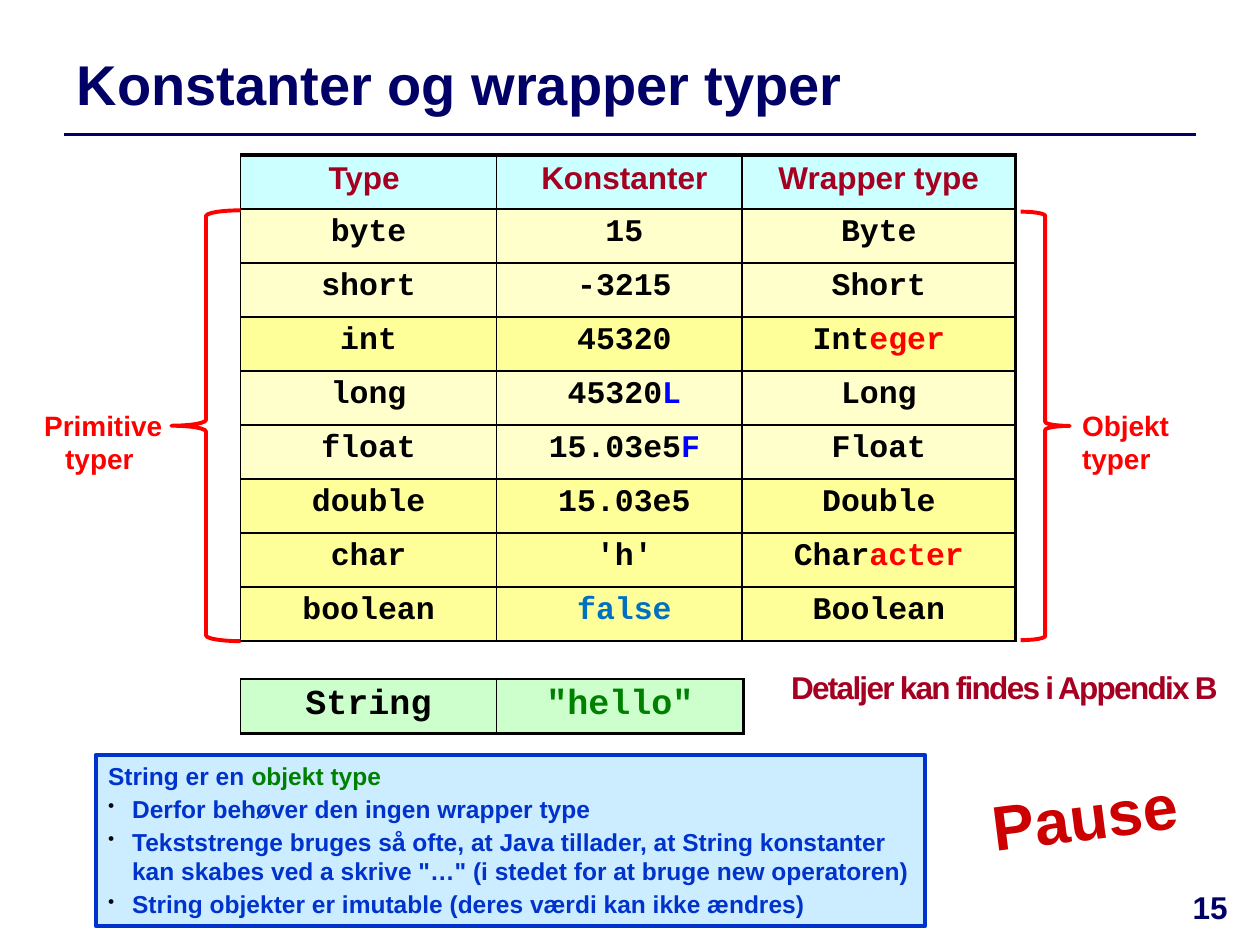
from pptx import Presentation
from pptx.dml.color import RGBColor
from pptx.enum.shapes import MSO_CONNECTOR, MSO_SHAPE
from pptx.enum.text import MSO_ANCHOR, PP_ALIGN
from pptx.oxml.ns import qn
from pptx.util import Pt
from lxml import etree

LEFT, CENTER = PP_ALIGN.LEFT, PP_ALIGN.CENTER
TOP, MIDDLE = MSO_ANCHOR.TOP, MSO_ANCHOR.MIDDLE
RECTANGLE, BRACE = MSO_SHAPE.RECTANGLE, MSO_SHAPE.LEFT_BRACE
STRAIGHT = MSO_CONNECTOR.STRAIGHT

NAVY, WINE, RED, BLACK = "000066", "A50021", "FF0000", "000000"
BLUE, GREEN = "0033CC", "008000"
AQUA, PALE, YELLOW, MINT = "CCFFFF", "FFFFCC", "FFFF99", "CCFFCC"
SANS, MONO = "Arial", "Courier New"
THIN, THICK = 1, 2.25
ROW_HEIGHT = 30.87
TABLE_LEFT, TABLE_TOP, COLUMN = 137.5, 88.5, 146.2

HEADINGS = ["Type ", "Konstanter", "Wrapper type"]
TYPES = [
    (PALE, "byte", "15", "Byte"),
    (PALE, "short", "-3215", "Short"),
    (YELLOW, "int", "45320", ["Int", ("eger", RED)]),
    (PALE, "long", ["45320", ("L", "0000FF")], "Long"),
    (PALE, "float", ["15.03e5", ("F", "0000FF")], "Float"),
    (YELLOW, "double", "15.03e5", "Double"),
    (YELLOW, "char", "'h'", ["Char", ("acter", RED)]),
    (YELLOW, "boolean", [("false", "0070C0")], "Boolean"),
]
STRING_NOTES = [
    ["String er en ", ("objekt type", GREEN)],
    "Derfor behøver den ingen wrapper type",
    "Tekststrenge bruges så ofte, at Java tillader, at String konstanter kan skabes "
    "ved a skrive \"…\" (i stedet for at bruge new operatoren)",
    "String objekter er imutable (deres værdi kan ikke ændres)",
]


def colour(hex_text):
    return RGBColor.from_string(hex_text)


def add_bullet(para):
    properties = para._p.get_or_add_pPr()
    properties.set("marL", str(Pt(13.7)))
    properties.set("indent", str(-Pt(13.7)))
    tint = etree.SubElement(properties, qn("a:buClr"))
    etree.SubElement(tint, qn("a:srgbClr"), val=BLACK)
    etree.SubElement(properties, qn("a:buSzPct"), val="75000")
    etree.SubElement(properties, qn("a:buChar"), char="•")


def write(frame, paragraphs, size=18, font=SANS, ink=BLACK, align=LEFT, anchor=TOP,
          tracking=0, bullets=False):
    """Fill a frame; a paragraph is a text or a list of texts and (text, colour) pairs."""
    frame.word_wrap = True
    frame.vertical_anchor = anchor
    for number, content in enumerate(paragraphs):
        para = frame.add_paragraph() if number else frame.paragraphs[0]
        if bullets and number:
            add_bullet(para)
            para.space_before = Pt(2)
        para.alignment = align
        for part in [content] if isinstance(content, str) else content:
            text, tint = (part, ink) if isinstance(part, str) else part
            span = para.add_run()
            span.text = text
            span.font.size, span.font.name, span.font.bold = Pt(size), font, True
            span.font.color.rgb = colour(tint)
            if tracking:
                span._r.get_or_add_rPr().set("spc", str(tracking * 100))


def add_borders(cell, **widths):
    properties = cell._tc.get_or_add_tcPr()
    for side in "LRTB":
        edge = etree.SubElement(properties, qn("a:ln" + side), w=str(Pt(widths.get(side, THIN))))
        fill = etree.SubElement(edge, qn("a:solidFill"))
        etree.SubElement(fill, qn("a:srgbClr"), val=BLACK)


class Page:
    def __init__(self, deck):
        self.shapes = deck.slides.add_slide(deck.slide_layouts[6]).shapes

    def rule(self, left, right, y):
        line = self.shapes.add_connector(STRAIGHT, Pt(left), Pt(y), Pt(right), Pt(y))
        line.line.color.rgb = colour(NAVY)
        line.line.width = Pt(2)
        etree.SubElement(line._element.spPr, qn("a:effectLst"))

    def text(self, left, top, width, height, content, turn=0, **style):
        box = self.shapes.add_textbox(Pt(left), Pt(top), Pt(width), Pt(height))
        box.rotation = turn
        write(box.text_frame, [content], **style)

    def shape(self, kind, left, top, width, height, fill=None, line=None):
        shape = self.shapes.add_shape(kind, Pt(left), Pt(top), Pt(width), Pt(height))
        shape.shadow.inherit = False
        if fill:
            shape.fill.solid()
            shape.fill.fore_color.rgb = colour(fill)
        else:
            shape.fill.background()
        if line:
            shape.line.color.rgb = colour(line)
            shape.line.width = Pt(THICK)
        else:
            shape.line.fill.background()
        return shape

    def panel(self, left, top, width, height, paragraphs, fill, line=None, **style):
        shape = self.shape(RECTANGLE, left, top, width, height, fill, line)
        write(shape.text_frame, paragraphs, **style)

    def brace(self, left, top, width, height, mirrored=False):
        shape = self.shape(BRACE, left, top, width, height, line=RED)
        if mirrored:
            shape._element.spPr.xfrm.set("flipH", "1")

    def table(self, left, top, columns, rows, heavy, heading=False, size=18, accent=BLACK):
        """Draw rows of (fill, cell, ...); heavy names the outer edge that is thick."""
        table = self.shapes.add_table(len(rows), len(columns), Pt(left), Pt(top),
                                      Pt(sum(columns)), Pt(ROW_HEIGHT * len(rows))).table
        table.first_row = table.horz_banding = False
        for column, width in zip(table.columns, columns):
            column.width = Pt(width)
        for y, (fill, *contents) in enumerate(rows):
            table.rows[y].height = Pt(ROW_HEIGHT)
            is_heading = heading and y == 0
            for x, content in enumerate(contents):
                cell = table.cell(y, x)
                widths = {"R": THICK} if x == len(columns) - 1 else {}
                if y == (0 if heavy == "T" else len(rows) - 1):
                    widths[heavy] = THICK
                add_borders(cell, **widths)
                cell.fill.solid()
                cell.fill.fore_color.rgb = colour(fill)
                write(cell.text_frame, [content], size=size, align=CENTER,
                      font=SANS if is_heading else MONO, ink=WINE if is_heading else BLACK)


def main():
    deck = Presentation()
    deck.slide_width, deck.slide_height = Pt(720), Pt(540)
    page = Page(deck)

    page.rule(36.7, 683.3, 77)
    page.text(36.7, 20.2, 646.6, 54, "Konstanter og wrapper typer", size=32, ink=NAVY,
              anchor=MIDDLE)
    rows = [(AQUA, *HEADINGS), *TYPES]
    page.table(TABLE_LEFT, TABLE_TOP, [COLUMN, COLUMN], [row[:3] for row in rows],
               heavy="T", heading=True)
    page.text(663, 504, 57, 36, "15", ink=NAVY, align=CENTER)
    page.table(424.1, TABLE_TOP, [156.2], [(row[0], row[3]) for row in rows],
               heavy="T", heading=True)

    page.brace(97.9, 120.2, 39.6, 246.2)
    page.text(10, 229.7, 93.6, 46, " Primitive typer", size=16, ink=RED, align=CENTER)
    page.brace(583.2, 121, 28.1, 244.8, mirrored=True)
    page.table(TABLE_LEFT, 388, [COLUMN, 141.1], [(MINT, "String", [('"hello"', GREEN)])],
               heavy="B", size=20)
    page.text(611.3, 229.7, 66.2, 46, "Objekt typer", size=16, ink=RED)

    page.text(522, 440.6, 195.8, 51, "Pause", turn=352.8, size=36, ink="CC0000", align=CENTER)
    page.panel(445, 378, 260.6, 28, ["Detaljer kan findes i Appendix B"], "FFFFFF",
               ink=WINE, tracking=-1)
    page.panel(54.7, 431.3, 473.8, 98, STRING_NOTES, "CCECFF", BLUE, size=14, ink=BLUE,
               bullets=True)
    deck.save("out.pptx")


if __name__ == "__main__":
    main()
